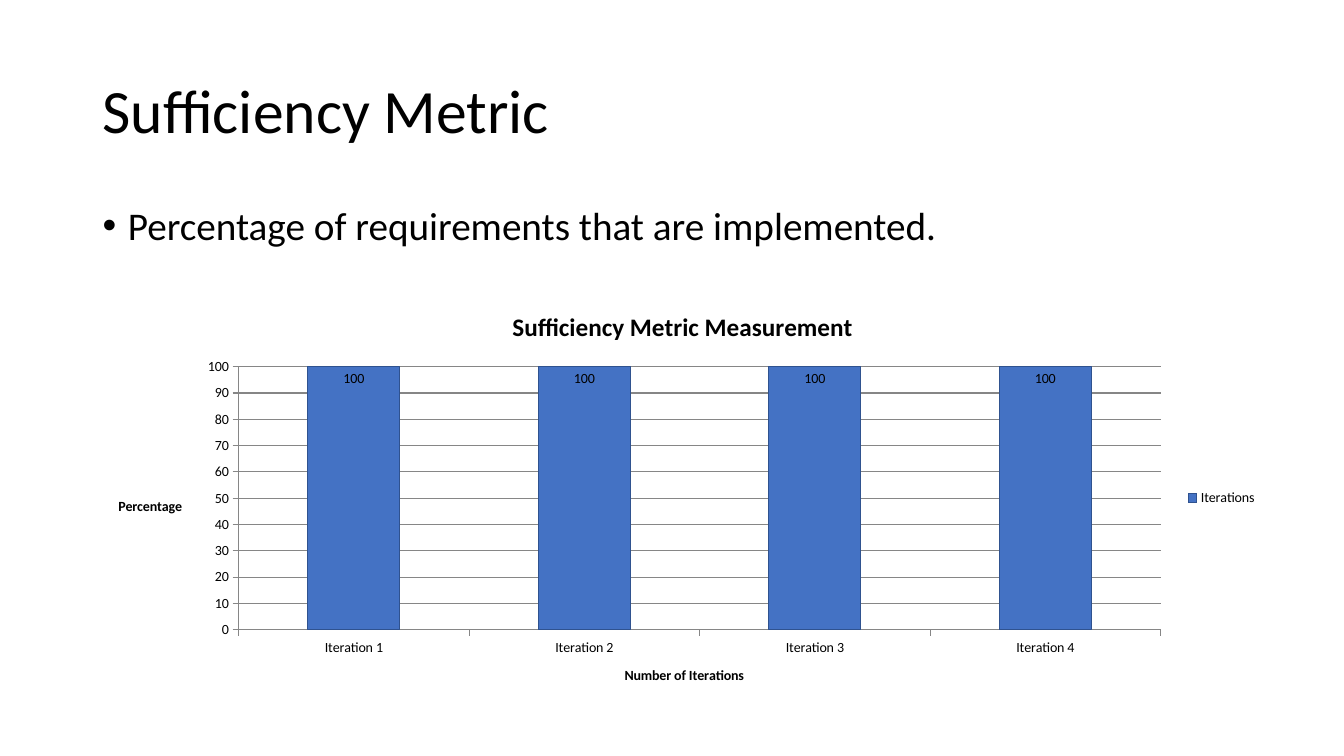
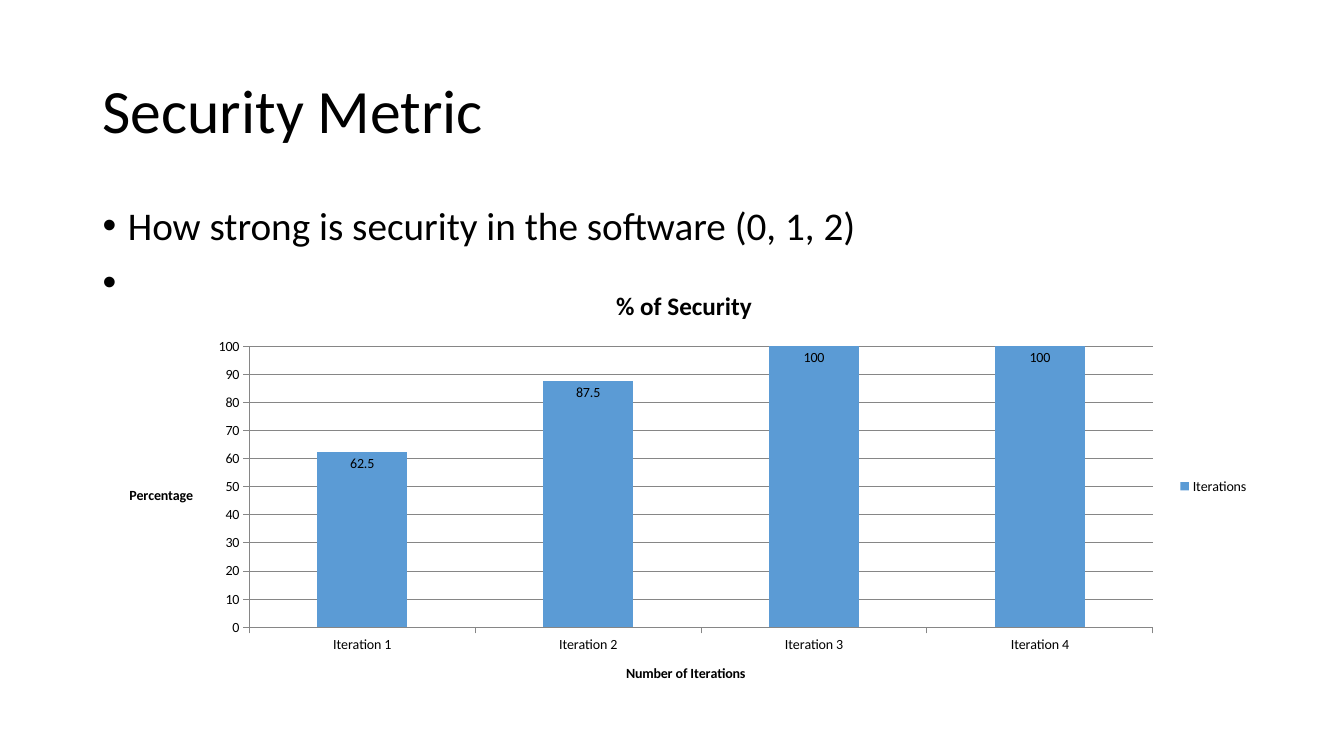
from lxml import etree
from pptx import Presentation
from pptx.chart.data import CategoryChartData
from pptx.dml.color import RGBColor
from pptx.enum import chart as ch
from pptx.enum import text
from pptx.oxml import ns
from pptx.util import Inches, Pt

FONT = "Calibri"
COLORS = {"text": "000000", "grid": "868686", "blue": "4472C4", "edge": "2F528F", "sky": "5B9BD5"}
SLIDES = [
    {
        "title": "Sufficiency Metric",
        "bullets": ["Percentage of requirements that are implemented."],
        "chart": "Sufficiency Metric Measurement",
        "box": (0.97, 2.89, 11.6, 4.1),
        "values": (100, 100, 100, 100),
        "fill": "blue",
        "line": "edge",
    },
    {
        "title": "Security Metric",
        "bullets": ["How strong is security in the software (0, 1, 2)", " "],
        "chart": "% of Security",
        "box": (1.08, 2.68, 11.41, 4.29),
        "values": (62.5, 87.5, 100, 100),
        "fill": "sky",
        "line": None,
    },
]


def style(font, size, bold=False):
    font.name = FONT
    font.size = Pt(size)
    font.bold = bold
    font.color.rgb = RGBColor.from_string(COLORS["text"])


def add_text(s, box, lines, size, anchor, bullet=False):
    tf = s.shapes.add_textbox(*map(Inches, box)).text_frame
    tf.word_wrap = True
    tf.vertical_anchor = anchor
    for i, line in enumerate(lines):
        p = tf.add_paragraph() if i else tf.paragraphs[0]
        p.line_spacing = 0.9
        if bullet:
            p.space_before = Pt(10)
            pPr = p._p.get_or_add_pPr()
            pPr.set("marL", str(Inches(0.25)))
            pPr.set("indent", str(Inches(-0.25)))
            etree.SubElement(pPr, ns.qn("a:buFont")).set("typeface", "Arial")
            etree.SubElement(pPr, ns.qn("a:buChar")).set("char", "•")
        r = p.add_run()
        r.text = line
        style(r.font, size)


prs = Presentation()
prs.slide_width = Inches(13.33)
prs.slide_height = Inches(7.5)

for item in SLIDES:
    s = prs.slides.add_slide(prs.slide_layouts[6])
    add_text(s, (0.92, 0.4, 11.5, 1.45), [item["title"]], 44, text.MSO_ANCHOR.MIDDLE)
    add_text(s, (0.92, 2, 11.5, 4.76), item["bullets"], 28, text.MSO_ANCHOR.TOP, bullet=True)

    data = CategoryChartData()
    data.categories = [f"Iteration {n}" for n in range(1, 5)]
    data.add_series("Iterations", item["values"])
    chart = s.shapes.add_chart(
        ch.XL_CHART_TYPE.COLUMN_CLUSTERED, *map(Inches, item["box"]), data
    ).chart
    style(chart.font, 10)

    chart.has_legend = True
    chart.legend.position = ch.XL_LEGEND_POSITION.RIGHT
    chart.legend.include_in_layout = False

    cat_axis, val_axis = chart.category_axis, chart.value_axis
    val_axis.minimum_scale = 0
    val_axis.maximum_scale = 100
    val_axis.major_unit = 10
    val_axis.has_major_gridlines = True
    for line in (cat_axis.format.line, val_axis.format.line, val_axis.major_gridlines.format.line):
        line.color.rgb = RGBColor.from_string(COLORS["grid"])
        line.width = Pt(0.75)
    for axis in (cat_axis, val_axis):
        axis.major_tick_mark = ch.XL_TICK_MARK.OUTSIDE

    for owner, label, size in (
        (chart.chart_title, item["chart"], 18),
        (cat_axis.axis_title, "Number of Iterations", 10),
        (val_axis.axis_title, "Percentage", 10),
    ):
        r = owner.text_frame.paragraphs[0].add_run()
        r.text = label
        style(r.font, size, bold=True)
    val_axis.axis_title.text_frame._txBody.find(ns.qn("a:bodyPr")).set("rot", "0")

    plot = chart.plots[0]
    plot.gap_width = 150
    plot.vary_by_categories = False
    plot.has_data_labels = True
    labels = plot.data_labels
    labels.show_value = True
    labels.position = ch.XL_LABEL_POSITION.INSIDE_END
    style(labels.font, 10)

    bars = plot.series[0].format
    bars.fill.solid()
    bars.fill.fore_color.rgb = RGBColor.from_string(COLORS[item["fill"]])
    if item["line"]:
        bars.line.color.rgb = RGBColor.from_string(COLORS[item["line"]])
        bars.line.width = Pt(0.75)
    else:
        bars.line.fill.background()

prs.save("out.pptx")
